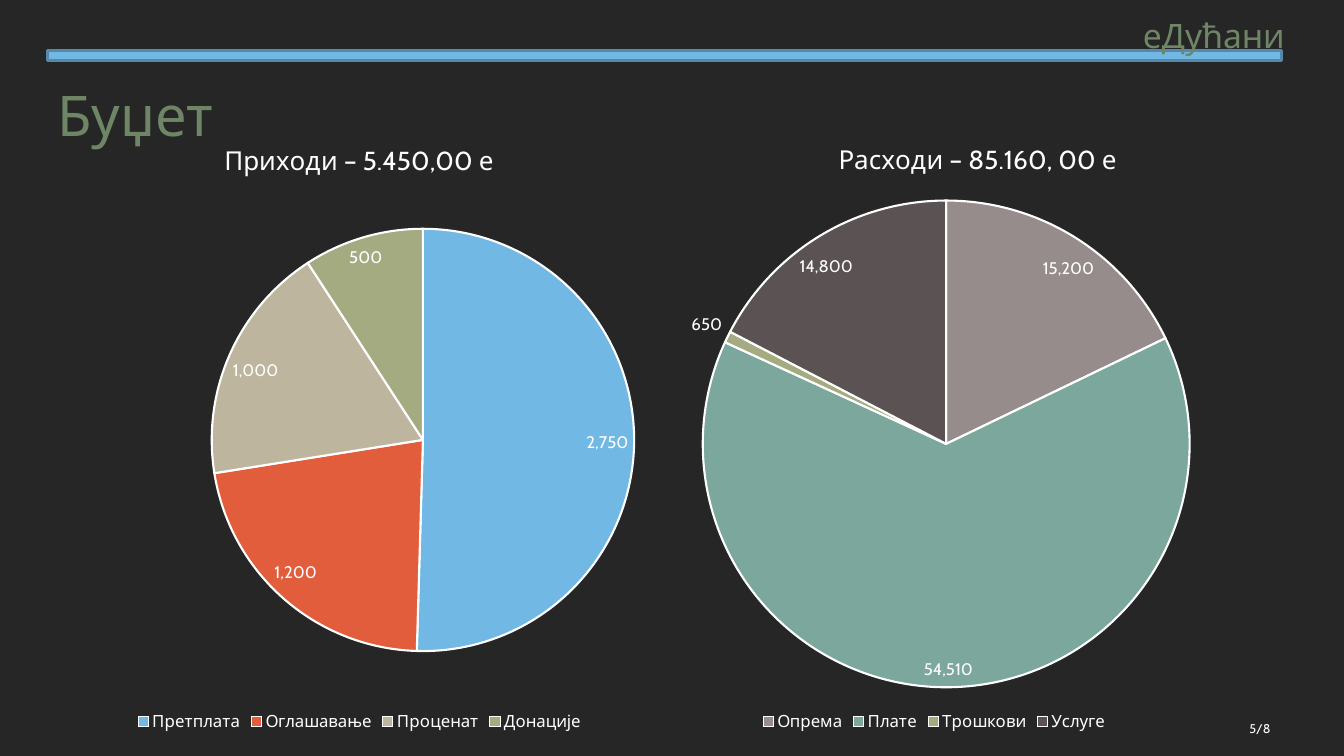
from dataclasses import dataclass

from pptx import Presentation
from pptx.chart.data import CategoryChartData
from pptx.dml.color import RGBColor
from pptx.enum.chart import XL_CHART_TYPE as ChartType
from pptx.enum.chart import XL_LABEL_POSITION as LabelPosition
from pptx.enum.chart import XL_LEGEND_POSITION as LegendPosition
from pptx.enum.shapes import MSO_SHAPE as Shape
from pptx.enum.text import MSO_ANCHOR as Anchor
from pptx.enum.text import MSO_AUTO_SIZE as AutoSize
from pptx.enum.text import PP_ALIGN as Align
from pptx.oxml import parse_xml
from pptx.oxml.ns import nsdecls
from pptx.util import Inches, Pt


@dataclass(frozen=True)
class Theme:
    font: str = "Cabin"
    black: str = "000000"
    backdrop: str = "262626"
    bar: str = "71B9E4"
    bar_edge: str = "5489A9"
    heading: str = "6E8666"
    text: str = "FFFFFF"
    title_size: float = 40
    brand_size: float = 24
    chart_title_size: float = 18.6
    chart_size: float = 12
    page_size: float = 9
    edge: float = 1.75
    slice_edge: float = 1.5


THEME = Theme()
SLIDE_SIZE = (13.33, 7.5)
CHART_SIZE = (8.89, 6.1)

# Title and plot places are inches from the chart's top left corner
INCOME = {
    "title": "Приходи – 5.450,00 е",
    "title_at": (3.06, 0.16),
    "plot": (2.98, 1.01, 4.19, 4.31),
    "slices": [("Претплата", 2750, "71B9E4"), ("Оглашавање", 1200, "E25D3C"),
               ("Проценат", 1000, "BDB59D"), ("Донације", 500, "A5AB81")],
}
EXPENSES = {
    "title": "Расходи – 85.160, 00 е",
    "title_at": (3.45, 0.15),
    "plot": (2.15, 0.79, 4.83, 4.83),
    "slices": [("Опрема", 15200, "968C8C"), ("Плате", 54510, "7BA79D"),
               ("Трошкови", 650, "A5AB81"), ("Услуге", 14800, "5B5353")],
}


def inches(box):
    return [Inches(length) for length in box]


def style_font(font, size, color):
    font.name = THEME.font
    font.size = Pt(size)
    font.bold = False
    font.color.rgb = RGBColor.from_string(color)


def add_block(slide, box, fill, edge=None):
    block = slide.shapes.add_shape(Shape.RECTANGLE, *inches(box))
    block.shadow.inherit = False
    block.fill.solid()
    block.fill.fore_color.rgb = RGBColor.from_string(fill)
    if edge:
        block.line.color.rgb = RGBColor.from_string(edge)
        block.line.width = Pt(THEME.edge)
    else:
        block.line.fill.background()


def write(holder, text, size, color, align, anchor=Anchor.TOP, fit=AutoSize.NONE):
    frame = holder.text_frame
    frame.word_wrap = True
    frame.auto_size = fit
    frame.vertical_anchor = anchor
    paragraph = frame.paragraphs[0]
    paragraph.text = text
    paragraph.alignment = align
    style_font(paragraph.font, size, color)


def set_layout(part, position, box, chart_size, target=""):
    """Fix a chart part's place: left, top and optionally width, height."""
    names = "xywh"[:len(box)]
    modes = "".join(f'<c:{name}Mode val="edge"/>' for name in names[:2])
    values = "".join(f'<c:{name} val="{length / whole:.4f}"/>'
                     for name, length, whole in zip(names, box, chart_size * 2))
    layout = parse_xml(f'<c:layout {nsdecls("c")}><c:manualLayout>{target}{modes}{values}'
                       '</c:manualLayout></c:layout>')
    for old in part.findall(layout.tag):
        part.remove(old)
    part.insert(position, layout)


def add_backdrop(slide, box):
    slide.background.fill.solid()
    slide.background.fill.fore_color.rgb = RGBColor.from_string(THEME.black)
    add_block(slide, box, THEME.backdrop)


def add_header(slide, box):
    left, top, width, _ = box
    add_block(slide, (left, top + 0.4, width, 0.1), THEME.bar, THEME.bar_edge)

    # The title goes in front of the backdrop
    title = slide.shapes.title
    title.element.getparent().append(title.element)
    title.left, title.top, title.width, title.height = inches((left, top + 0.65, 6.2, 0.77))
    write(title, "Буџет", THEME.title_size, THEME.heading, Align.LEFT,
          fit=AutoSize.SHAPE_TO_FIT_TEXT)

    brand = slide.shapes.add_textbox(*inches((left + 9.8, top, 3.54, 0.5)))
    write(brand, "еДућани", THEME.brand_size, THEME.heading, Align.CENTER,
          fit=AutoSize.SHAPE_TO_FIT_TEXT)


def add_budget_pie(slide, box, budget):
    size = box[2:]
    names, amounts, colors = zip(*budget["slices"])
    data = CategoryChartData(number_format="#,##0")
    data.categories = names
    data.add_series("Series 1", amounts)
    chart = slide.shapes.add_chart(ChartType.PIE, *inches(box), data).chart
    style_font(chart.font, THEME.chart_size, THEME.text)

    # Title
    chart.has_title = True
    heading = chart.chart_title.text_frame.paragraphs[0]
    heading.text = budget["title"]
    style_font(heading.font, THEME.chart_title_size, THEME.text)
    set_layout(chart.chart_title.element, 1, budget["title_at"], size)

    # Legend
    chart.has_legend = True
    chart.legend.position = LegendPosition.BOTTOM
    chart.legend.include_in_layout = False
    style_font(chart.legend.font, THEME.chart_size, THEME.text)

    # Slices and their values
    plot = chart.plots[0]
    plot.vary_by_categories = True
    set_layout(chart.element.chart.plotArea, 0, budget["plot"], size,
               '<c:layoutTarget val="inner"/>')
    series = plot.series[0]
    for index, color in enumerate(colors):
        piece = series.points[index].format
        piece.fill.solid()
        piece.fill.fore_color.rgb = RGBColor.from_string(color)
        piece.line.color.rgb = RGBColor.from_string(THEME.text)
        piece.line.width = Pt(THEME.slice_edge)
    labels = series.data_labels
    labels.show_value = True
    labels.number_format = "#,##0"
    labels.number_format_is_linked = False
    labels.position = LabelPosition.BEST_FIT
    style_font(labels.font, THEME.chart_size, THEME.text)


def add_page_number(slide, box):
    page = slide.shapes.add_textbox(*inches(box))
    write(page, "5/8", THEME.page_size, THEME.text, Align.RIGHT, Anchor.MIDDLE)


def main():
    deck = Presentation()
    deck.slide_width, deck.slide_height = inches(SLIDE_SIZE)
    slide = deck.slides.add_slide(deck.slide_layouts[5])
    add_backdrop(slide, (0, 0, *SLIDE_SIZE))
    add_header(slide, (0.47, 0.1, 12.24, 1.42))
    add_budget_pie(slide, (4.82, 1.2, *CHART_SIZE), EXPENSES)
    add_budget_pie(slide, (-0.88, 1.2, *CHART_SIZE), INCOME)
    add_page_number(slide, (11.55, 7.03, 1.15, 0.4))
    deck.save("out.pptx")


if __name__ == "__main__":
    main()
